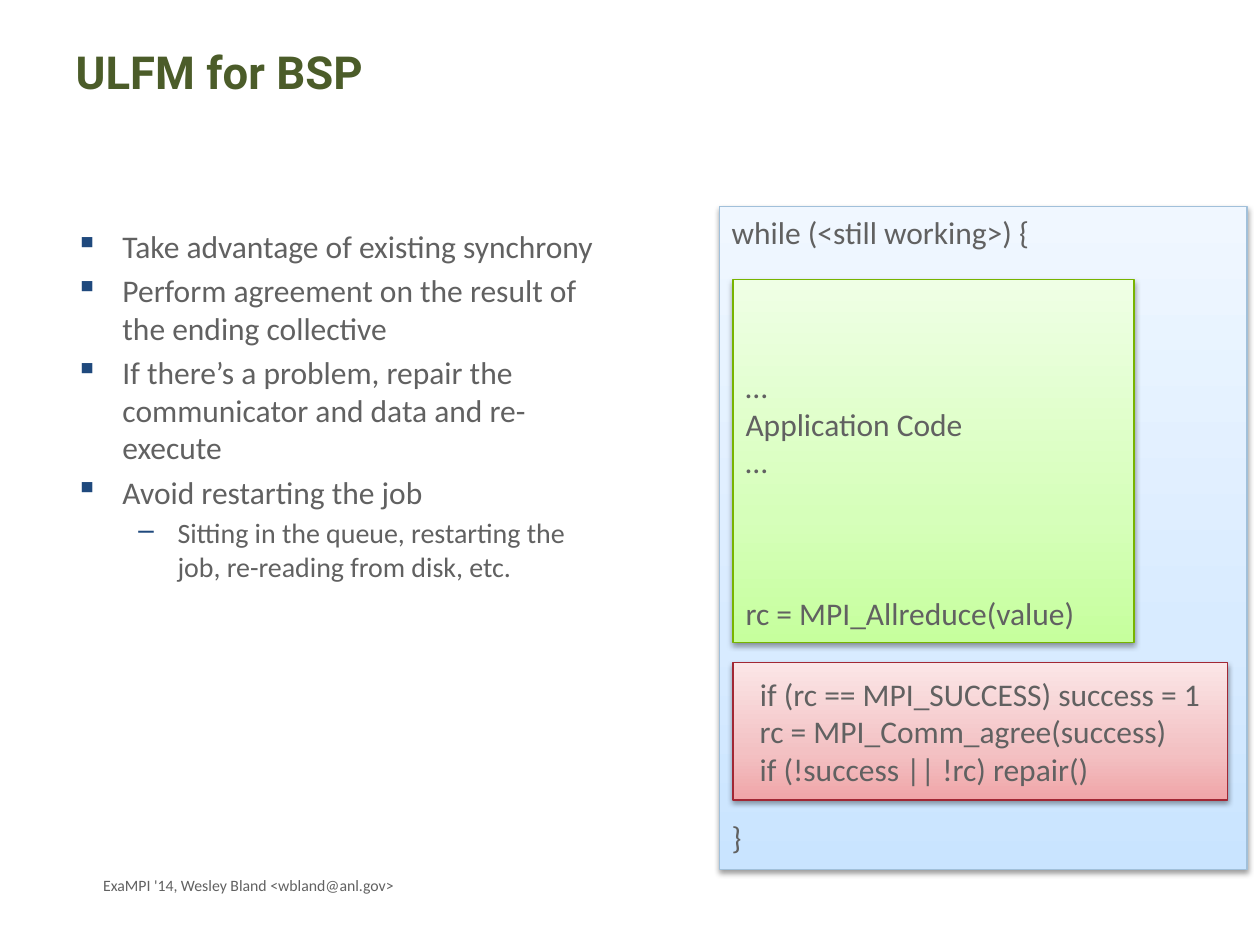
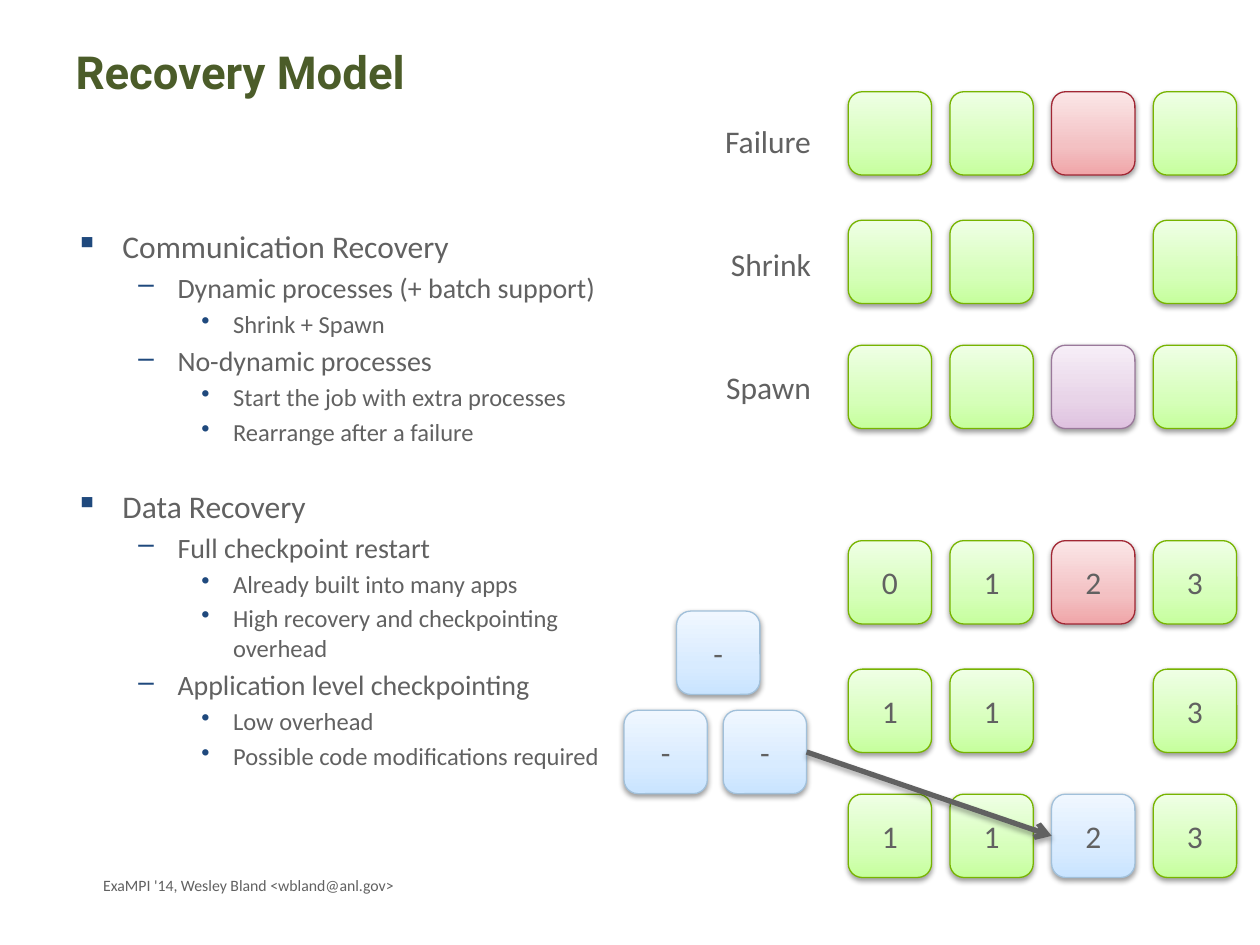
from copy import deepcopy

from lxml.etree import SubElement
from pptx import Presentation
from pptx.dml.color import RGBColor
from pptx.enum.shapes import MSO_CONNECTOR, MSO_SHAPE
from pptx.enum.text import MSO_ANCHOR, PP_ALIGN
from pptx.oxml.ns import qn
from pptx.util import Cm, Pt

# Shared style
TITLE_GREEN = RGBColor(0x4B, 0x5C, 0x29)
TEXT_GRAY = RGBColor(0x61, 0x61, 0x61)
BULLET_BLUE = RGBColor(0x1F, 0x49, 0x7D)
TITLE_FONT, BODY_FONT = "Roboto", "Calibri"
FOOTER = "ExaMPI '14, Wesley Bland <wbland@anl.gov>"

# Palettes: border, then gradient colours from bottom to top
GREEN, RED, BLUE, PURPLE = (
    [RGBColor.from_string(code) for code in codes.split()]
    for codes in (
        "77B400 C6FF9D D6FFBA EFFFE5",
        "A12734 F0A5A8 F3C1C3 FBE6E7",
        "A1C0DA C9E4FF D8EBFF F0F7FF",
        "9A799B DFC2E0 E8D4E8 F6EEF7",
    )
)
GRADIENT_POSITIONS = (0, 0.35, 1)

# Bullet levels: character, left margin, hanging indent, text size
LEVELS = (
    ("▪", Cm(0.95), Cm(0.95), 18),
    ("–", Cm(2.06), Cm(0.79), 16),
    ("•", Cm(3.18), Cm(0.64), 14),
)

# Process tiles
TILE = Cm(1.68)
COLUMN_PITCH = Cm(2.05)
ROW_OFFSETS = (Cm(0), Cm(2.59), Cm(5.11))
CODE_LINE = 21.6  # height of one line of code, in points


def format_runs(paragraph, size, color=TEXT_GRAY, name=BODY_FONT, bold=False):
    for run in paragraph.runs:
        run.font.size = Pt(size)
        run.font.color.rgb = color
        run.font.name = name
        run.font.bold = bold


def add_shadow(shape, distance, opacity):
    """Soft shadow below a shape whose fill and line are already set."""
    effects = SubElement(shape._element.spPr, qn("a:effectLst"))
    shadow = SubElement(effects, qn("a:outerShdw"), blurRad="40000",
                        dist=str(distance), dir="5400000", rotWithShape="0")
    black = SubElement(shadow, qn("a:srgbClr"), val="000000")
    SubElement(black, qn("a:alpha"), val=str(opacity * 1000))


def add_panel(slide, kind, left, top, width, height, palette):
    shape = slide.shapes.add_shape(kind, left, top, width, height)
    border, *colors = palette
    shape.fill.gradient()
    shape.fill.gradient_angle = 90
    stop_list = shape._element.spPr.find(qn("a:gradFill")).find(qn("a:gsLst"))
    stop_list.append(deepcopy(stop_list[-1]))
    for stop, position, color in zip(shape.fill.gradient_stops, GRADIENT_POSITIONS, colors):
        stop.position = position
        stop.color.rgb = color
    shape.line.color.rgb = border
    shape.line.width = Pt(0.75)
    add_shadow(shape, 20000, 38)
    return shape


def add_text(slide, text, left, top, width, height, size, align=PP_ALIGN.LEFT):
    frame = slide.shapes.add_textbox(left, top, width, height).text_frame
    frame.word_wrap = True
    frame.text = text
    frame.paragraphs[0].alignment = align
    format_runs(frame.paragraphs[0], size)


def add_base_slide(presentation, title):
    """Title-only slide with the shared title style and footer."""
    slide = presentation.slides.add_slide(presentation.slide_layouts[5])
    shape = slide.shapes.title
    shape.left, shape.top, shape.width, shape.height = Cm(1.27), Cm(0.76), Cm(22.86), Cm(3.18)
    frame = shape.text_frame
    frame.text = title
    frame.vertical_anchor = MSO_ANCHOR.TOP
    frame.paragraphs[0].alignment = PP_ALIGN.LEFT
    format_runs(frame.paragraphs[0], 26, TITLE_GREEN, TITLE_FONT, bold=True)
    add_text(slide, FOOTER, Cm(1.83), Cm(17.53), Cm(16.5), Cm(0.64), 9)
    return slide


def add_bullets(slide, items, left=Cm(1.27), top=Cm(4.45), width=Cm(11.23), height=Cm(12.57)):
    """Items are (level, text) or (level, text, extra points before)."""
    frame = slide.shapes.add_textbox(left, top, width, height).text_frame
    frame.word_wrap = True
    for index, (level, text, *extra) in enumerate(items):
        paragraph = frame.add_paragraph() if index else frame.paragraphs[0]
        paragraph.text = text
        paragraph.level = level
        character, margin, hanging, size = LEVELS[level]
        if index:
            paragraph.space_before = Pt(0.2 * size + sum(extra))
        properties = paragraph._p.get_or_add_pPr()
        properties.set("marL", str(margin))
        properties.set("indent", str(-hanging))
        bullet_color = SubElement(properties, qn("a:buClr"))
        SubElement(bullet_color, qn("a:srgbClr"), val=str(BULLET_BLUE))
        SubElement(properties, qn("a:buChar"), char=character)
        format_runs(paragraph, size)


def add_code_box(slide, lines, left, top, width, height, palette, anchor):
    """Lines are (text, number of blank lines left above it)."""
    shape = add_panel(slide, MSO_SHAPE.RECTANGLE, left, top, width, height, palette)
    frame = shape.text_frame
    frame.vertical_anchor = anchor
    for index, (text, gap) in enumerate(lines):
        paragraph = frame.add_paragraph() if index else frame.paragraphs[0]
        paragraph.text = text
        paragraph.alignment = PP_ALIGN.LEFT
        if gap:
            paragraph.space_before = Pt(gap * CODE_LINE)
        format_runs(paragraph, 18)
    return frame


def add_code_loop(slide, left, top):
    """Work loop holding the application block and the recovery block."""
    add_code_box(slide, [("while (<still working>) {", 0), ("}", 15)],
                 left, top, Cm(10.64), Cm(13.36), BLUE, MSO_ANCHOR.TOP)
    inner_left = left + Cm(0.28)
    application = [("…", 0), ("Application Code", 0), ("…", 0), ("rc = MPI_Allreduce(value)", 3)]
    frame = add_code_box(slide, application, inner_left, top + Cm(1.47),
                         Cm(8.08), Cm(7.32), GREEN, MSO_ANCHOR.BOTTOM)
    frame.margin_bottom = Cm(0.23)
    recovery = [("if (rc == MPI_SUCCESS) success = 1", 0),
                ("  rc = MPI_Comm_agree(success)", 0),
                ("  if (!success || !rc) repair()", 0)]
    frame = add_code_box(slide, recovery, inner_left, top + Cm(9.19),
                         Cm(9.96), Cm(2.77), RED, MSO_ANCHOR.MIDDLE)
    frame.paragraphs[0].alignment = PP_ALIGN.CENTER


def add_tile(slide, left, top, palette, label=""):
    tile = add_panel(slide, MSO_SHAPE.ROUNDED_RECTANGLE, left, top, TILE, TILE, palette)
    if label:
        frame = tile.text_frame
        frame.text = label
        frame.vertical_anchor = MSO_ANCHOR.MIDDLE
        frame.paragraphs[0].alignment = PP_ALIGN.CENTER
        format_runs(frame.paragraphs[0], 18)
    return tile


def add_tile_rows(slide, left, top, third_palettes, labels=("    ",) * 3):
    """Three rows of four processes; the third process changes state by row."""
    tiles = {}
    for row, (offset, third, row_labels) in enumerate(zip(ROW_OFFSETS, third_palettes, labels)):
        for column, palette in enumerate((GREEN, GREEN, third, GREEN)):
            if palette:
                tiles[row, column] = add_tile(slide, left + column * COLUMN_PITCH, top + offset,
                                              palette, row_labels[column].strip())
    return tiles


def add_spares(slide, left, top):
    """Triangle of spare processes; returns the lower right one."""
    add_tile(slide, left + Cm(1.06), top, BLUE, "-")
    add_tile(slide, left, top + Cm(2), BLUE, "-")
    return add_tile(slide, left + Cm(2), top + Cm(2), BLUE, "-")


def add_arrow(slide, source, target):
    arrow = slide.shapes.add_connector(MSO_CONNECTOR.STRAIGHT, 0, 0, 0, 0)
    arrow.begin_connect(source, 3)
    arrow.end_connect(target, 1)
    arrow.line.color.rgb = TEXT_GRAY
    arrow.line.width = Pt(3)
    SubElement(arrow._element.spPr.find(qn("a:ln")), qn("a:tailEnd"), type="arrow")
    add_shadow(arrow, 23000, 35)


def build_bsp_slide(presentation):
    slide = add_base_slide(presentation, "ULFM for BSP")
    add_bullets(slide, [
        (0, "Take advantage of existing synchrony"),
        (0, "Perform agreement on the result of the ending collective"),
        (0, "If there’s a problem, repair the communicator and data and re-execute"),
        (0, "Avoid restarting the job"),
        (1, "Sitting in the queue, restarting the job, re-reading from disk, etc."),
    ])
    add_code_loop(slide, Cm(14.5), Cm(4.17))


def build_recovery_slide(presentation):
    slide = add_base_slide(presentation, "Recovery Model")
    add_bullets(slide, [
        (0, "Communication Recovery"),
        (1, "Dynamic processes (+ batch support)"),
        (2, "Shrink + Spawn"),
        (1, "No-dynamic processes"),
        (2, "Start the job with extra processes"),
        (2, "Rearrange after a failure"),
        (0, "Data Recovery", 19.8),
        (1, "Full checkpoint restart"),
        (2, "Already built into many apps"),
        (2, "High recovery and checkpointing overhead"),
        (1, "Application level checkpointing"),
        (2, "Low overhead"),
        (2, "Possible code modifications required"),
    ])
    # Communication recovery
    grid_left = Cm(17.1)
    add_tile_rows(slide, grid_left, Cm(1.85), (RED, None, PURPLE))
    for row, label in enumerate(("Failure", "Shrink", "Spawn")):
        add_text(slide, label, Cm(14.1), Cm(2.34) + row * Cm(2.48),
                 Cm(2.5), Cm(1.02), 18, PP_ALIGN.RIGHT)
    # Data recovery
    tiles = add_tile_rows(slide, grid_left, Cm(10.9), (RED, None, BLUE), ("0123", "11 3", "1123"))
    spare = add_spares(slide, Cm(12.58), Cm(12.32))
    add_arrow(slide, spare, tiles[2, 2])


def main():
    presentation = Presentation()
    presentation.slide_width, presentation.slide_height = Cm(25.4), Cm(19.05)
    build_bsp_slide(presentation)
    build_recovery_slide(presentation)
    presentation.save("out.pptx")


if __name__ == "__main__":
    main()
